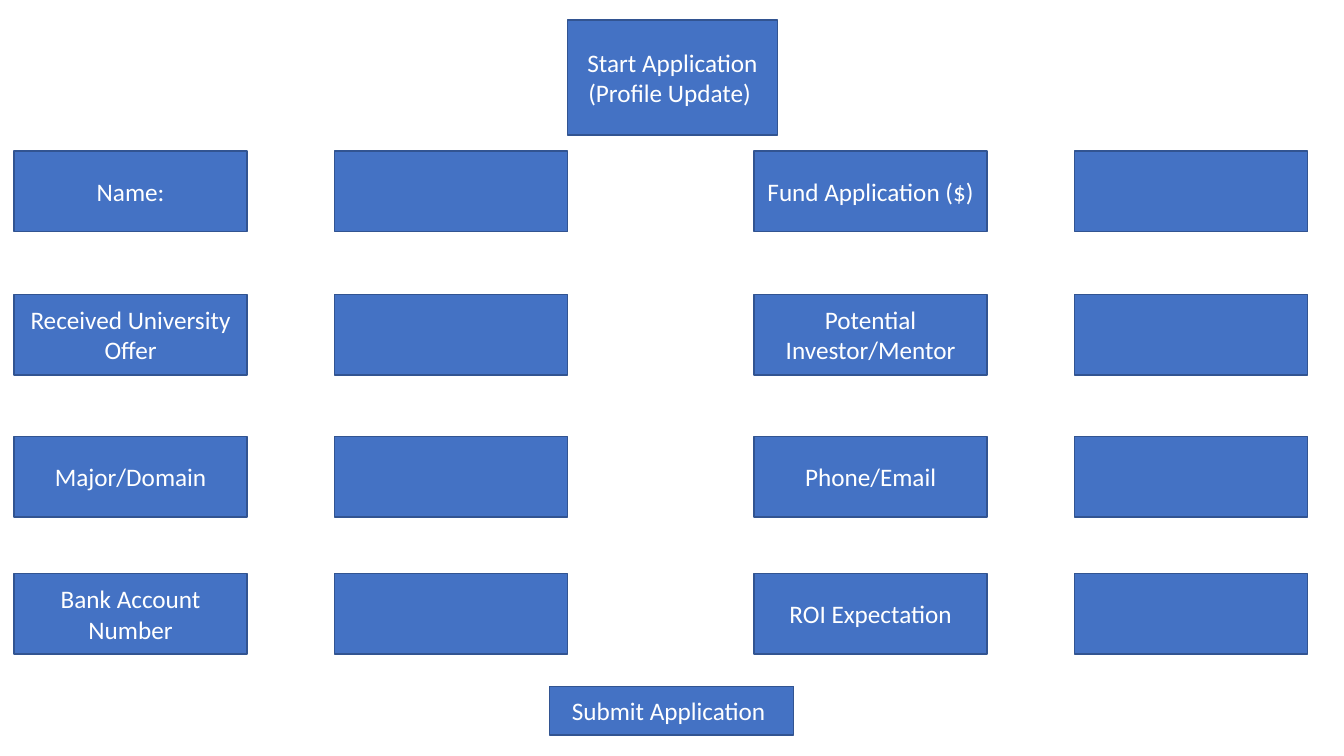
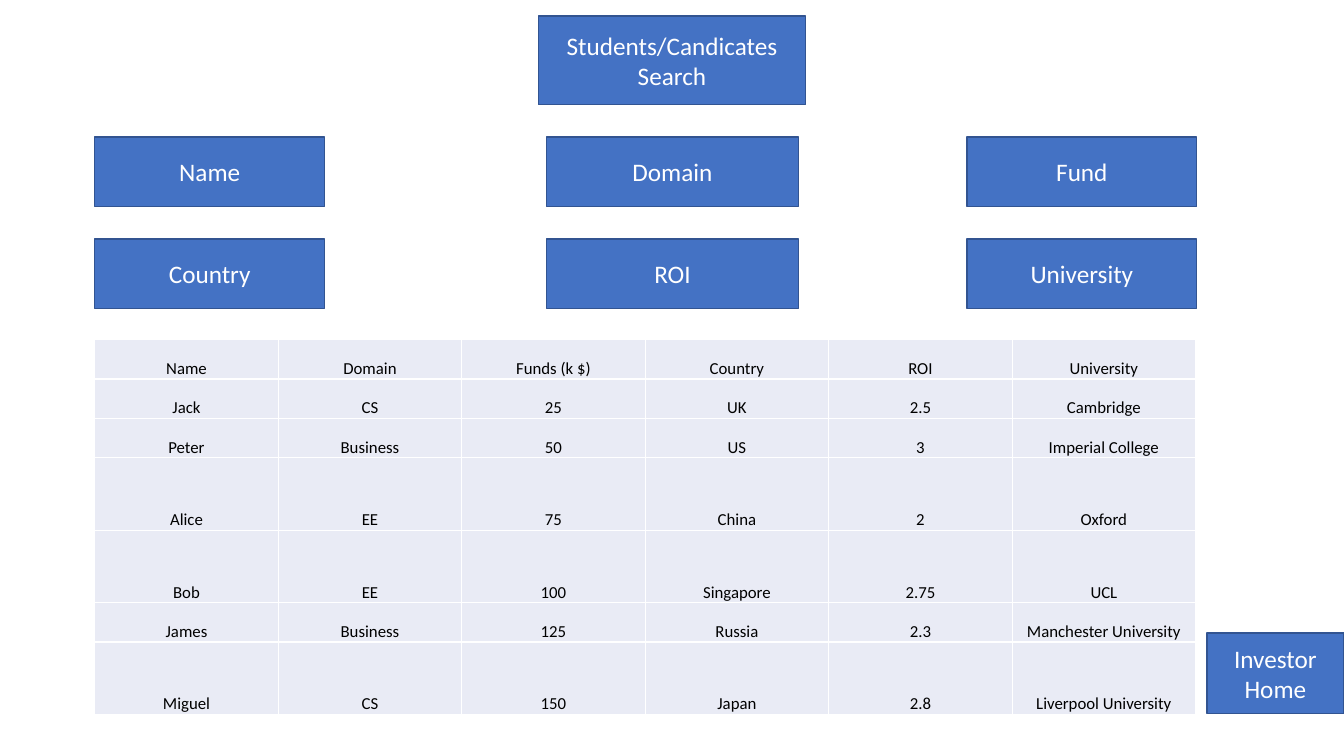
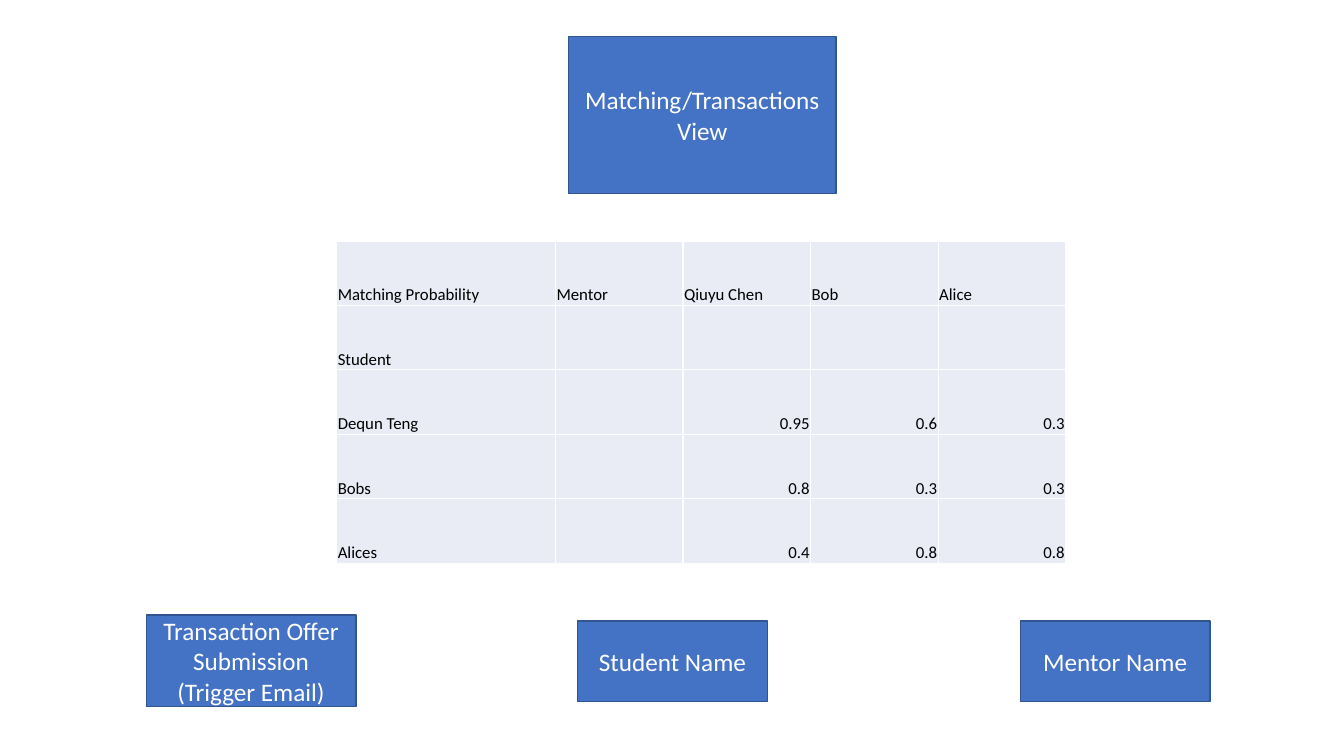
import pptx
import pptx.dml.color
import pptx.enum.shapes
import pptx.enum.text
import pptx.oxml
import pptx.oxml.ns
import pptx.util

Inches = pptx.util.Inches
Pt = pptx.util.Pt
Align = pptx.enum.text.PP_ALIGN
Anchor = pptx.enum.text.MSO_ANCHOR
Preset = pptx.enum.shapes.MSO_SHAPE
TITLE_ONLY = 5


def color(value):
    return pptx.dml.color.RGBColor.from_string(value)


def write(frame, text, size=18, font="Calibri", ink="FFFFFF", align=Align.CENTER):
    for index, line in enumerate(text.split("\n")):
        paragraph = frame.add_paragraph() if index else frame.paragraphs[0]
        paragraph.alignment = align
        run = paragraph.add_run()
        run.text = line
        run.font.size = Pt(size)
        run.font.name = font
        run.font.bold = False
        run.font.color.rgb = color(ink)


class Deck:
    box_fill = "4472C4"
    box_line = "325491"
    cell_fill = "E9EBF5"
    cell_ink = "000000"
    cell_border = "FFFFFF"

    def __init__(self):
        self.presentation = pptx.Presentation()
        self.presentation.slide_width = Inches(13.33)
        self.presentation.slide_height = Inches(7.5)

    def start_slide(self, title, left, top, width, height):
        layout = self.presentation.slide_layouts[TITLE_ONLY]
        self.slide = self.presentation.slides.add_slide(layout)
        shape = self.slide.shapes.title
        shape.left, shape.top = Inches(left), Inches(top)
        shape.width, shape.height = Inches(width), Inches(height)
        self.style_box(shape, title)

    def style_box(self, shape, text):
        shape.fill.solid()
        shape.fill.fore_color.rgb = color(self.box_fill)
        shape.line.color.rgb = color(self.box_line)
        shape.line.width = Pt(1)
        frame = shape.text_frame
        frame.word_wrap = True
        frame.auto_size = pptx.enum.text.MSO_AUTO_SIZE.NONE
        frame.vertical_anchor = Anchor.MIDDLE
        if text:
            write(frame, text)

    def box(self, text, left, top, width, height, preset=Preset.RECTANGLE):
        shape = self.slide.shapes.add_shape(
            preset, Inches(left), Inches(top), Inches(width), Inches(height))
        shape.shadow.inherit = False
        self.style_box(shape, text)

    def button(self, text, left, top, width, height):
        self.box(text, left, top, width, height, Preset.ACTION_BUTTON_CUSTOM)

    def table(self, rows, left, top, widths, heights, align):
        table = self.slide.shapes.add_table(
            len(rows), len(widths), Inches(left), Inches(top),
            Inches(sum(widths)), Inches(sum(heights))).table
        table.first_row = False
        table.horz_banding = False
        for column, width in zip(table.columns, widths):
            column.width = Inches(width)
        for row, height, texts in zip(table.rows, heights, rows):
            row.height = Inches(height)
            for cell, text in zip(row.cells, texts):
                self.style_cell(cell, text, align(text))

    def style_cell(self, cell, text, align):
        cell.margin_left = cell.margin_right = cell.margin_top = Inches(0.01)
        cell.margin_bottom = 0
        cell.vertical_anchor = Anchor.BOTTOM
        cell.fill.solid()
        cell.fill.fore_color.rgb = color(self.cell_fill)
        properties = cell._tc.get_or_add_tcPr()
        for index, side in enumerate(("lnL", "lnR", "lnT", "lnB")):
            properties.insert(index, pptx.oxml.parse_xml(
                f'<a:{side} {pptx.oxml.ns.nsdecls("a")} w="{Pt(1)}"><a:solidFill>'
                f'<a:srgbClr val="{self.cell_border}"/></a:solidFill></a:{side}>'))
        if text:
            write(cell.text_frame, text, size=12, ink=self.cell_ink, align=align)


def application_form(deck):
    deck.start_slide("Start Application\n(Profile Update) ", 5.63, 0.2, 2.08, 1.14)
    row_tops = (1.5, 2.92, 4.33, 5.69)
    groups = {
        0.14: ("Name:", "Received University Offer", "Major/Domain",
               "Bank Account Number"),
        7.48: ("Fund Application ($)", "Potential Investor/Mentor", "Phone/Email",
               "ROI Expectation"),
    }
    for left, labels in groups.items():
        for top, label in zip(row_tops, labels):
            deck.box(label, left, top, 2.31, 0.8)
            deck.box("", left + 3.18, top, 2.31, 0.8)
    deck.button("Submit Application ", 5.45, 6.81, 2.42, 0.48)


def candidate_search(deck):
    deck.start_slide("Students/Candicates Search", 5.34, 0.16, 2.65, 0.88)
    columns = ((0.94, 2.28), (5.42, 2.5), (9.59, 2.28))
    filters = {1.36: ("Name", "Domain", "Fund"),
               2.37: ("Country", "ROI", "University")}
    for top, labels in filters.items():
        for (left, width), label in zip(columns, labels):
            deck.box(label, left, top, width, 0.69)
    candidates = (
        ("Name", "Domain", "Funds (k $)", "Country", "ROI", "University"),
        ("Jack", "CS", "25", "UK", "2.5", "Cambridge"),
        ("Peter", "Business", "50", "US", "3", "Imperial College"),
        ("Alice", "EE", "75", "China", "2", "Oxford"),
        ("Bob", "EE", "100", "Singapore", "2.75", "UCL"),
        ("James", "Business", "125", "Russia", "2.3", "Manchester University"),
        ("Miguel", "CS", "150", "Japan", "2.8", "Liverpool University"),
    )
    short, tall = 0.39, 0.72
    deck.table(candidates, 0.94, 3.37, [1.82] * 6,
               [short, short, short, tall, tall, short, tall],
               lambda text: Align.CENTER)
    deck.button("Investor Home", 11.97, 6.28, 1.36, 0.8)


def matching_view(deck):
    deck.start_slide("Matching/Transactions View", 5.64, 0.36, 2.65, 1.56)
    probabilities = (
        ("Matching Probability", "Mentor", "Qiuyu Chen", "Bob", "Alice"),
        ("Student", "", "", "", ""),
        ("Dequn Teng", "", "0.95", "0.6", "0.3"),
        ("Bobs", "", "0.8", "0.3", "0.3"),
        ("Alices", "", "0.4", "0.8", "0.8"),
    )
    deck.table(probabilities, 3.34, 2.39, [2.17] + [1.265] * 4, [0.64] * 5,
               lambda text: Align.RIGHT if text[:1].isdigit() else Align.LEFT)
    deck.box("Student Name", 5.73, 6.16, 1.88, 0.8)
    deck.box("Mentor Name", 10.12, 6.16, 1.88, 0.8)
    deck.button("Transaction Offer Submission (Trigger Email)", 1.45, 6.1, 2.08, 0.91)


deck = Deck()
application_form(deck)
candidate_search(deck)
matching_view(deck)
deck.presentation.save("out.pptx")
